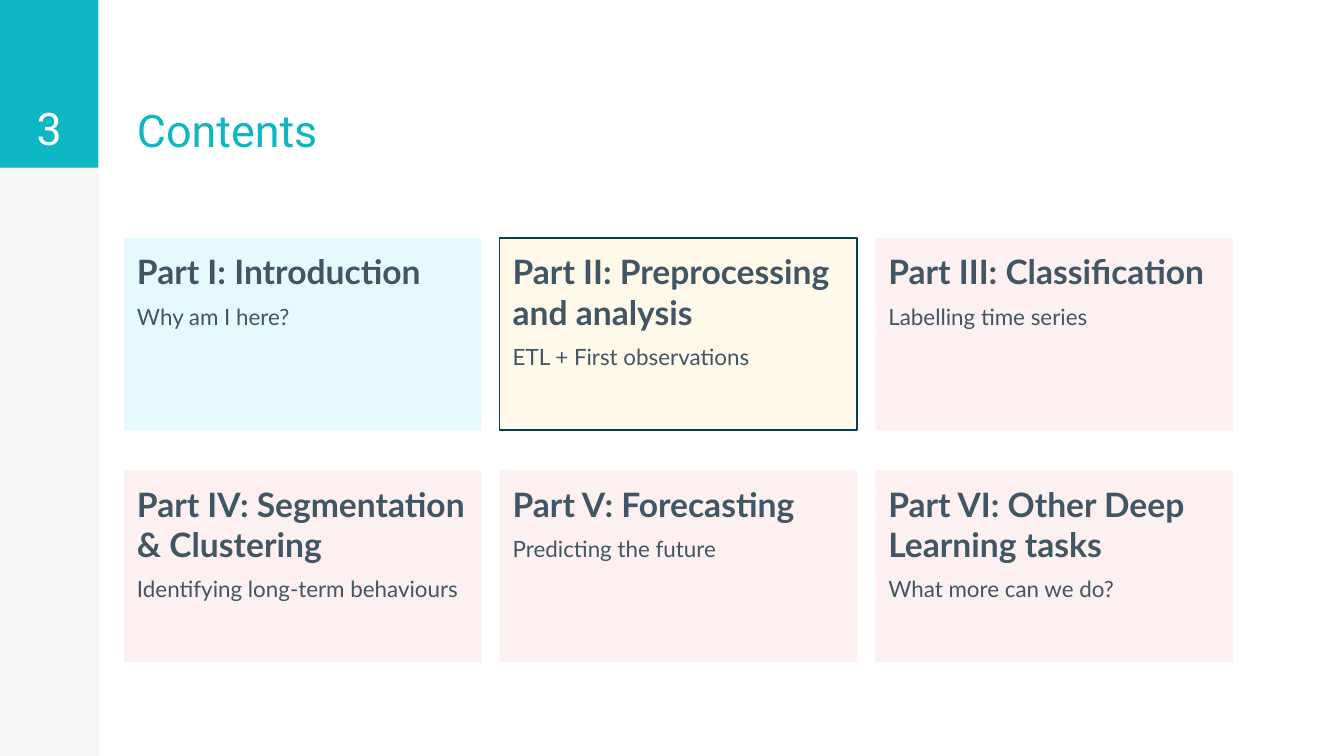
from lxml import etree
from pptx import Presentation
from pptx.dml.color import RGBColor
from pptx.enum.shapes import MSO_SHAPE as SHAPE
from pptx.enum.text import MSO_ANCHOR as ANCHOR, PP_ALIGN as ALIGN
from pptx.oxml.ns import qn
from pptx.util import Cm, Pt

TEAL = RGBColor(0x0D, 0xB7, 0xC4)
GREY = RGBColor(0xF6, 0xF6, 0xF6)
WHITE = RGBColor(0xFF, 0xFF, 0xFF)
SLATE = RGBColor(0x41, 0x56, 0x65)
DARK = RGBColor(0x04, 0x41, 0x4D)
BLUE = RGBColor(0xC2, 0xF2, 0xFC)
YELLOW = RGBColor(0xFF, 0xF2, 0xCC)
PINK = RGBColor(0xFC, 0xDA, 0xDA)

PARTS = [
    ("Part I: Introduction", "Why am I here?", BLUE, None),
    ("Part II: Preprocessing and analysis", "ETL + First observations", YELLOW, DARK),
    ("Part III: Classification", "Labelling time series", PINK, None),
    ("Part IV: Segmentation & Clustering", "Identifying long-term behaviours", PINK, None),
    ("Part V: Forecasting", "Predicting the future", PINK, None),
    ("Part VI: Other Deep Learning tasks", "What more can we do?", PINK, None),
]


def add_rect(s, box, fill, line=None, alpha=None):
    sp = s.shapes.add_shape(SHAPE.RECTANGLE, *map(Cm, box))
    sp.shadow.inherit = False
    sp.fill.solid()
    sp.fill.fore_color.rgb = fill
    if alpha is not None:
        color = sp.fill._xPr.find(qn("a:solidFill"))[0]
        etree.SubElement(color, qn("a:alpha"), val=str(alpha * 1000))
    if line is None:
        sp.line.fill.background()
    else:
        sp.line.color.rgb = line
        sp.line.width = Pt(0.75)
    return sp


def set_frame(sp, anchor):
    tf = sp.text_frame
    tf.word_wrap = True
    tf.vertical_anchor = anchor
    tf.margin_left = tf.margin_right = tf.margin_top = tf.margin_bottom = Cm(0.25)
    return tf


def add_run(p, text, font, size, color, bold=False, align=ALIGN.LEFT):
    p.alignment = align
    r = p.add_run()
    r.text = text
    r.font.name = font
    r.font.size = Pt(size)
    r.font.bold = bold
    r.font.color.rgb = color


def add_sidebar(s, box, number_height, number):
    left, top, width, _ = box
    add_rect(s, box, GREY)
    sp = add_rect(s, (left, top, width, number_height), TEAL)
    tf = set_frame(sp, ANCHOR.BOTTOM)
    add_run(tf.paragraphs[0], number, "Roboto", 24, WHITE, align=ALIGN.CENTER)


def add_title(s, box, text):
    sp = s.shapes.add_textbox(*map(Cm, box))
    tf = set_frame(sp, ANCHOR.BOTTOM)
    add_run(tf.paragraphs[0], text, "Roboto", 24, TEAL)


def add_card(s, box, heading, detail, fill, line):
    tf = set_frame(add_rect(s, box, fill, line, alpha=40), ANCHOR.TOP)
    p = tf.paragraphs[0]
    p.space_before = Pt(6)
    add_run(p, heading, "Lato", 18, SLATE, bold=True)
    p = tf.add_paragraph()
    p.space_before = Pt(6)
    add_run(p, detail, "Lato", 12, SLATE)


def add_card_grid(s, box, parts, cols=3, gap_x=0.34, gap_y=0.76):
    left, top, width, height = box
    rows = -(-len(parts) // cols)
    w = (width - gap_x * (cols - 1)) / cols
    h = (height - gap_y * (rows - 1)) / rows
    for i, part in enumerate(parts):
        row, col = divmod(i, cols)
        add_card(s, (left + col * (w + gap_x), top + row * (h + gap_y), w, h), *part)


def main():
    prs = Presentation()
    prs.slide_width, prs.slide_height = Cm(25.4), Cm(14.29)
    s = prs.slides.add_slide(prs.slide_layouts[6])
    add_sidebar(s, (0, 0, 1.86, 14.29), 3.17, "3")
    add_title(s, (2.34, 0.03, 9.88, 3.17), "Contents")
    add_card_grid(s, (2.34, 4.5, 20.96, 8.02), PARTS)
    prs.save("out.pptx")


if __name__ == "__main__":
    main()
